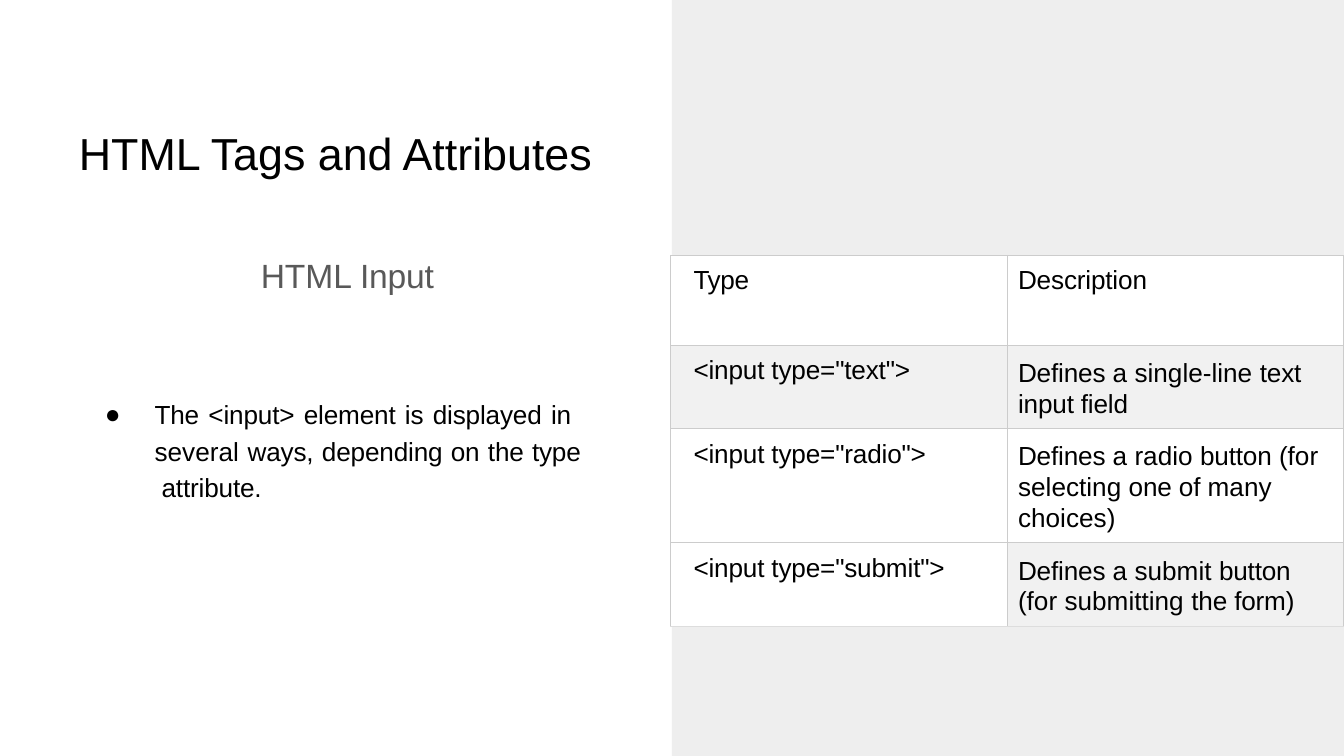
import pptx
import pptx.dml.color
import pptx.enum.shapes
import pptx.enum.text
import pptx.oxml
import pptx.oxml.ns
import pptx.util
from pptx.util import Inches

WIDTH = 10
HEIGHT = WIDTH * 9 / 16
COLORS = {
    "page": "FFFFFF",
    "panel": "EEEEEE",
    "text": "000000",
    "subtitle": "595959",
    "band": "F1F1F1",
    "border": "CCCCCC",
    "bottom": "DDDDDD",
}
FONT = "Arial"
ALIGN = pptx.enum.text.PP_ALIGN
# A bar switches between tight and normal letter spacing.
INPUT_TYPES = [
    ("Type", "Description"),
    ('<input type="text">', "Defines |a single-line |text  input field"),
    ('<input type="radio">',
     "Defines |a radio |button |(for  selecting |one of |many  choices)"),
    ('<input type="submit">',
     "Defines |a submit |button  |(for submitting |the form)"),
]
ROW_HEIGHTS = [0.67, 0.62, 0.85, 0.62]
BANDED_CELLS = {(1, 0), (1, 1), (3, 1)}


def rgb(name):
    return pptx.dml.color.RGBColor.from_string(COLORS[name])


def add_xml(parent, xml):
    namespace = pptx.oxml.ns.nsdecls("a")
    parent.append(pptx.oxml.parse_xml(xml.replace(" ", f" {namespace} ", 1)))


def write(frame, text, *, size=14, color="text", align=ALIGN.LEFT, before=1,
          line=None, indent=0.0, hanging=0.0, tight=-0.1, bullet=None):
    """Write one paragraph; bars in the text toggle tight and normal spacing."""
    paragraph = frame.paragraphs[0]
    paragraph.alignment = align
    paragraph.space_before = pptx.util.Pt(before)
    if line is not None:
        paragraph.line_spacing = line
    properties = paragraph._p.get_or_add_pPr()
    properties.set("marL", str(Inches(indent)))
    properties.set("indent", str(Inches(hanging)))
    if bullet:
        add_xml(properties, f'<a:buClr ><a:srgbClr val="{COLORS[color]}"/></a:buClr>')
        add_xml(properties, f'<a:buFont typeface="{FONT}"/>')
        add_xml(properties, f'<a:buChar char="{bullet}"/>')
    for index, part in enumerate(text.split("|")):
        run = paragraph.add_run()
        run.text = part
        run.font.name = FONT
        run.font.size = pptx.util.Pt(size)
        run.font.color.rgb = rgb(color)
        spacing = 0 if index % 2 else tight
        run._r.get_or_add_rPr().set("spc", str(round(spacing * 100)))


def set_insets(frame, top=0.01, right=0):
    frame.margin_left = frame.margin_bottom = 0
    frame.margin_top = Inches(top)
    frame.margin_right = Inches(right)


def add_text(slide, box, text, **style):
    frame = slide.shapes.add_textbox(*map(Inches, box)).text_frame
    frame.word_wrap = True
    set_insets(frame)
    write(frame, text, **style)


def add_panel(slide, box):
    panel = slide.shapes.add_shape(
        pptx.enum.shapes.MSO_SHAPE.RECTANGLE, *map(Inches, box))
    panel.shadow.inherit = False
    panel.fill.solid()
    panel.fill.fore_color.rgb = rgb("panel")
    panel.line.fill.background()


def place_title(slide, box, text):
    title = slide.shapes.title
    title.left, title.top, title.width, title.height = map(Inches, box)
    frame = title.text_frame
    frame.auto_size = pptx.enum.text.MSO_AUTO_SIZE.NONE
    frame.vertical_anchor = pptx.enum.text.MSO_ANCHOR.MIDDLE
    set_insets(frame)
    write(frame, text, size=24, align=ALIGN.CENTER, indent=0.01, tight=0)


def add_explanation(slide, box):
    """Place the title, subtitle and bullet in the left half."""
    left, top = box[:2]
    place_title(slide, (left + 0.28, top + 0.78, 4.42, 0.7),
                "HTML Tags and Attributes")
    add_text(slide, (left + 1.92, top + 1.89, 1.32, 0.32), "HTM|L |Input",
             size=18, color="subtitle", align=ALIGN.CENTER, indent=0.01)
    add_text(slide, (left + 0.77, top + 2.92, 3.55, 0.83),
             "The <input> element is displayed in | several "
             "|ways, depending on the type  attribute.",
             align=ALIGN.JUSTIFY, line=1.16, indent=0.38, hanging=-0.37,
             bullet="●")


def draw_borders(cell, bottom):
    properties = cell._tc.get_or_add_tcPr()
    for side in "LRTB":
        color = COLORS[bottom if side == "B" else "border"]
        add_xml(properties,
                f'<a:ln{side} w="{pptx.util.Pt(0.75)}"><a:solidFill>'
                f'<a:srgbClr val="{color}"/></a:solidFill></a:ln{side}>')


def add_type_table(slide, box):
    table = slide.shapes.add_table(
        len(INPUT_TYPES), 2, *map(Inches, box)).table
    table.first_row = table.horz_banding = False
    for column in table.columns:
        column.width = Inches(box[2] / 2)
    last_row = len(INPUT_TYPES) - 1
    for row, (entries, height) in enumerate(zip(INPUT_TYPES, ROW_HEIGHTS)):
        table.rows[row].height = Inches(height)
        for column, entry in enumerate(entries):
            cell = table.cell(row, column)
            is_description = row > 0 and column == 1
            set_insets(cell, top=0.09 if is_description else 0.08,
                       right=0.34 if (row, column) == (last_row, 1) else 0)
            draw_borders(cell, "bottom" if row == last_row else "border")
            cell.fill.solid()
            cell.fill.fore_color.rgb = rgb(
                "band" if (row, column) in BANDED_CELLS else "page")
            write(cell.text_frame, entry,
                  before=6.2 if is_description else 5.5,
                  line=pptx.util.Pt(16.5) if is_description else None,
                  indent=0.08 if column else 0.17,
                  tight=-0.2 if entry == "Type" else -0.1)


def main():
    deck = pptx.Presentation()
    deck.slide_width, deck.slide_height = Inches(WIDTH), Inches(HEIGHT)
    slide = deck.slides.add_slide(deck.slide_layouts.get_by_name("Title Only"))
    add_panel(slide, (WIDTH / 2, 0, WIDTH / 2, HEIGHT))
    add_explanation(slide, (0, 0, WIDTH / 2, HEIGHT))
    add_type_table(slide, (4.99, 1.9, 5.01, sum(ROW_HEIGHTS)))
    deck.save("out.pptx")


if __name__ == "__main__":
    main()
